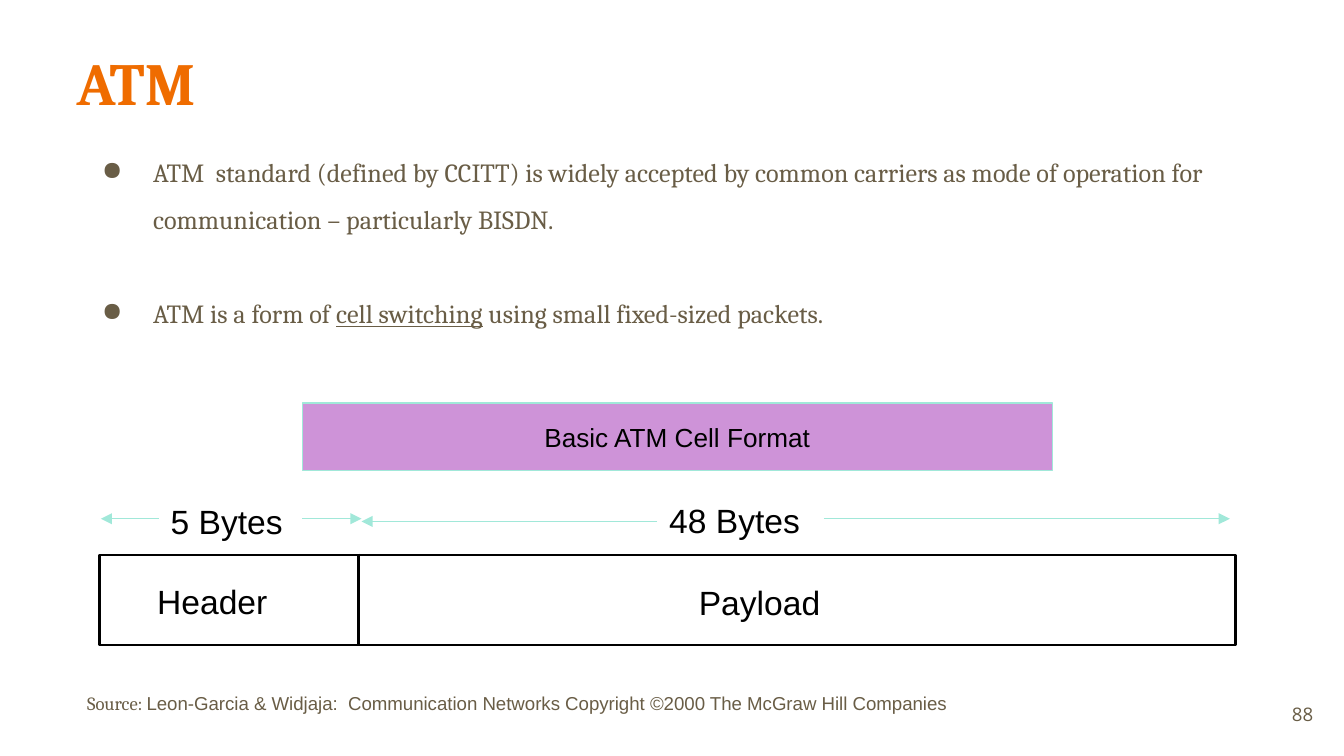
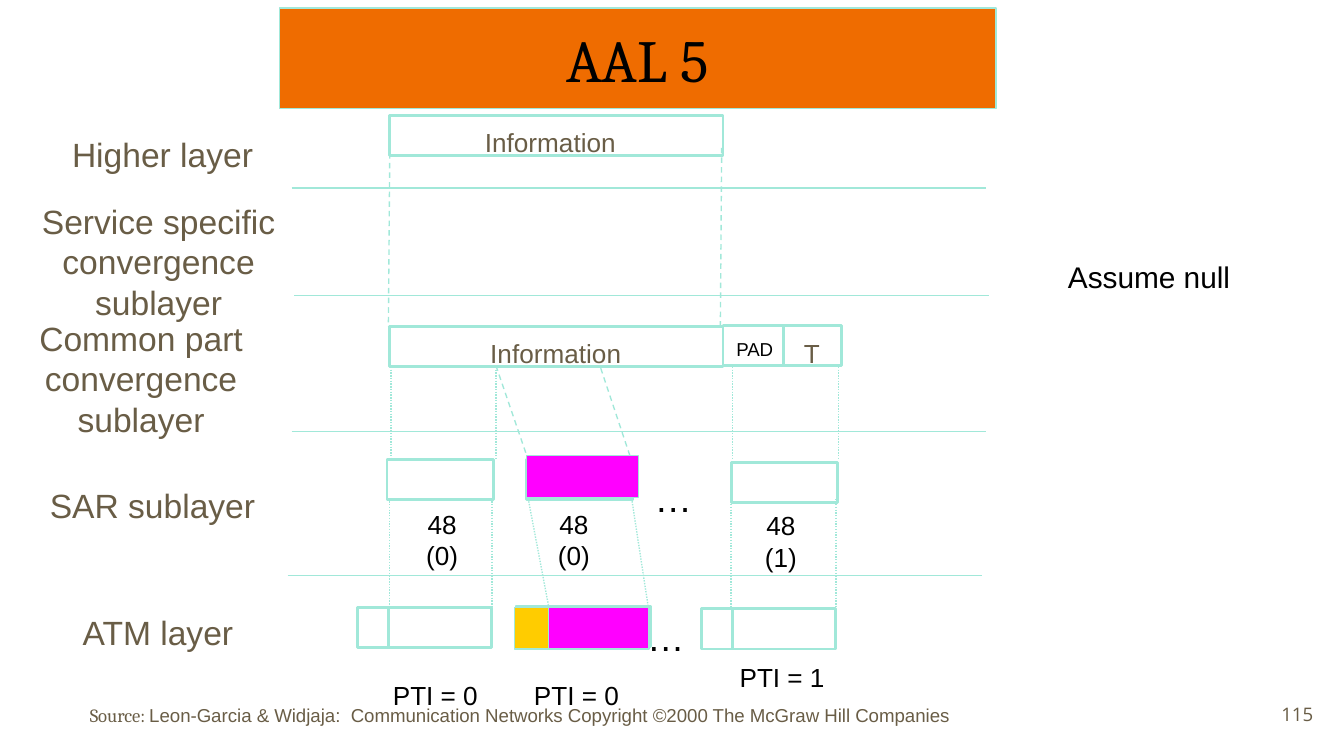
from lxml import etree
from pptx import Presentation
from pptx.dml.color import RGBColor
from pptx.enum.dml import MSO_LINE
from pptx.enum.shapes import MSO_CONNECTOR, MSO_SHAPE
from pptx.enum.text import MSO_ANCHOR, MSO_AUTO_SIZE, PP_ALIGN
from pptx.oxml.ns import qn
from pptx.util import Inches, Pt

ORANGE = RGBColor(0xEF, 0x6C, 0x00)
BROWN = RGBColor(0x69, 0x5D, 0x46)
MINT = RGBColor(0xA1, 0xE8, 0xD9)
LILAC = RGBColor(0xCE, 0x93, 0xD8)
MAGENTA = RGBColor(0xFF, 0x00, 0xFF)
YELLOW = RGBColor(0xFF, 0xCC, 0x00)
BLACK = RGBColor(0x00, 0x00, 0x00)

SERIF, SANS, NUMBER_FONT = "Cambria", "Arial", "Open Sans"
LEFT, CENTER, RIGHT = PP_ALIGN.LEFT, PP_ALIGN.CENTER, PP_ALIGN.RIGHT
TOP, MIDDLE = MSO_ANCHOR.TOP, MSO_ANCHOR.MIDDLE
DASH, DOT = MSO_LINE.DASH, MSO_LINE.ROUND_DOT
RECTANGLE, STRAIGHT = MSO_SHAPE.RECTANGLE, MSO_CONNECTOR.STRAIGHT
NO_AUTOFIT = MSO_AUTO_SIZE.NONE

SLIDE_WIDTH = Inches(10)
SLIDE_HEIGHT = SLIDE_WIDTH * 9 // 16
THIN, THICK = 0.75, 1.5
TITLE_SIZE = 32
SOURCE = "Leon-Garcia & Widjaja:  Communication Networks Copyright ©2000 The McGraw Hill Companies"


def set_font(font, size, color, name=SANS, bold=False):
    font.size = Pt(size)
    font.color.rgb = color
    font.name = name
    font.bold = bold


def set_frame(frame, anchor, inset_x=0.1, inset_y=0.05, wrap=True):
    frame.auto_size = NO_AUTOFIT
    frame.word_wrap = wrap
    frame.vertical_anchor = anchor
    frame.margin_left = frame.margin_right = Inches(inset_x)
    frame.margin_top = frame.margin_bottom = Inches(inset_y)


def write(frame, text, size, color, name=SANS, align=CENTER, bold=False):
    paragraph = frame.paragraphs[0]
    paragraph.text = text
    paragraph.alignment = align
    set_font(paragraph.font, size, color, name, bold)


def add_box(slide, box):
    return slide.shapes.add_textbox(*map(Inches, box))


def add_label(slide, box, text, size=18, color=BROWN, wrap=True):
    frame = add_box(slide, box).text_frame
    set_frame(frame, MIDDLE, wrap=wrap)
    write(frame, text, size, color)


def add_field_text(slide, left, top, text, width=1.14):
    frame = add_box(slide, (left, top, width, 0.3)).text_frame
    set_frame(frame, TOP, 0, 0)
    write(frame, text, 18, BLACK, align=LEFT)


def add_rectangle(slide, box, fill=None, line=MINT, weight=THICK):
    shape = slide.shapes.add_shape(RECTANGLE, *map(Inches, box))
    shape.shadow.inherit = False
    if fill is None:
        shape.fill.background()
    else:
        shape.fill.solid()
        shape.fill.fore_color.rgb = fill
    shape.line.color.rgb = line
    shape.line.width = Pt(weight)
    return shape


def add_line(slide, start, end, color=MINT, weight=THIN, dash=None, arrow=False):
    connector = slide.shapes.add_connector(STRAIGHT, *map(Inches, (*start, *end)))
    connector.line.color.rgb = color
    connector.line.width = Pt(weight)
    if dash is not None:
        connector.line.dash_style = dash
    if arrow:
        etree.SubElement(connector.line._get_or_add_ln(), qn("a:tailEnd"), type="triangle")
    etree.SubElement(connector._element.spPr, qn("a:effectLst"))


def add_title(slide, box, text, anchor, color, align, bold=False):
    title = slide.shapes.title
    title.left, title.top, title.width, title.height = map(Inches, box)
    set_frame(title.text_frame, anchor, 0.1, 0.1)
    write(title.text_frame, text, TITLE_SIZE, color, SERIF, align, bold)
    return title


def add_footer(slide, left, top, number):
    frame = add_box(slide, (9.27, 5.1, 0.6, 0.43)).text_frame
    set_frame(frame, MIDDLE, 0.1, 0.1)
    write(frame, number, 10, BROWN, NUMBER_FONT, RIGHT)
    frame = add_box(slide, (left, top, 8.87, 0.44)).text_frame
    set_frame(frame, TOP)
    for text, name in (("Source: ", SERIF), (SOURCE, SANS)):
        run = frame.paragraphs[0].add_run()
        run.text = text
        set_font(run.font, 10, BROWN, name)


def add_bullet(paragraph, parts):
    properties = paragraph._p.get_or_add_pPr()
    properties.set("marL", str(Inches(0.5)))
    properties.set("indent", str(-Inches(0.38)))
    paragraph.line_spacing = 1.5
    color = etree.SubElement(properties, qn("a:buClr"))
    etree.SubElement(color, qn("a:srgbClr"), val=str(BROWN))
    etree.SubElement(properties, qn("a:buChar"), char="●")
    for text, underline in parts:
        run = paragraph.add_run()
        run.text = text
        set_font(run.font, 14, BROWN, SERIF)
        run.font.underline = underline


def add_bullets(slide, box, bullets):
    frame = add_box(slide, box).text_frame
    set_frame(frame, TOP, 0.1, 0.1)
    for index, parts in enumerate(bullets):
        paragraph = frame.add_paragraph() if index else frame.paragraphs[0]
        if index:
            paragraph.space_before = Pt(25)
        add_bullet(paragraph, parts)


def add_atm_cell(slide, left, top):
    add_rectangle(slide, (left, top, 1, 0.3))
    add_line(slide, (left + 0.23, top), (left + 0.23, top + 0.3), weight=THICK)


def build_atm_slide(slide):
    add_title(slide, (0.47, 0.24, 9.32, 0.77), "ATM", TOP, ORANGE, LEFT, True)
    add_bullets(slide, (0.54, 0.95, 9.32, 3.61), [
        [("ATM  standard (defined by CCITT) is widely accepted by common carriers "
          "as mode of operation for communication – particularly BISDN.", False)],
        [("ATM is a form of ", False), ("cell switching", True),
         (" using small fixed-sized packets.", False)],
    ])

    add_rectangle(slide, (0.74, 4.13, 8.45, 0.67), line=BLACK)
    add_line(slide, (2.67, 4.12), (2.67, 4.81), BLACK, THICK)
    add_field_text(slide, 1.17, 4.32, "Header")
    add_field_text(slide, 5.2, 4.33, "Payload", 1.43)
    add_field_text(slide, 1.27, 3.73, "5 Bytes")
    add_field_text(slide, 4.98, 3.72, "48 Bytes")
    for start, end, y in ((2.25, 2.69, 3.86), (1.18, 0.75, 3.86),
                          (4.89, 2.69, 3.88), (6.13, 9.15, 3.86)):
        add_line(slide, (start, y), (end, y), arrow=True)

    caption = add_rectangle(slide, (2.25, 3, 5.58, 0.5), LILAC, weight=THIN)
    set_frame(caption.text_frame, MIDDLE, wrap=False)
    write(caption.text_frame, "Basic ATM Cell Format", 14, BLACK)
    add_footer(slide, 0.55, 5.1, "88")


def build_aal5_slide(slide):
    title = add_title(slide, (2.08, 0.06, 5.33, 0.75), "AAL 5", MIDDLE, BLACK, CENTER)
    title.fill.solid()
    title.fill.fore_color.rgb = ORANGE
    title.line.color.rgb = MINT
    title.line.width = Pt(THIN)

    for box, layer in (
        ((0.43, 0.95, 1.56, 0.4), "Higher layer"),
        ((0.19, 1.44, 1.98, 1.01), "Service specific convergence sublayer"),
        ((0.1, 2.31, 1.9, 1.01), "Common part convergence sublayer"),
        ((0.06, 3.56, 2.15, 0.4), "SAR sublayer"),
        ((0.1, 4.5, 2.15, 0.4), "ATM layer"),
    ):
        add_label(slide, box, layer, wrap=layer != "Higher layer")
    add_label(slide, (7.37, 1.87, 2.36, 0.37), "Assume null", 16, BLACK)

    for left, y in ((2.17, 1.4), (2.19, 2.2), (2.17, 3.21), (2.14, 4.28)):
        add_line(slide, (left, y), (left + 5.17, y))

    for box in ((2.9, 0.86, 2.48, 0.3), (5.38, 2.42, 0.88, 0.3), (2.9, 2.43, 2.48, 0.3)):
        add_rectangle(slide, box)
    add_line(slide, (5.83, 2.42), (5.83, 2.72), weight=THICK)
    for left, top in ((2.99, 0.89), (3.03, 2.46)):
        add_label(slide, (left, top, 2.21, 0.34), "Information", 14)
    add_label(slide, (5.37, 2.46, 0.49, 0.27), "PAD", 10, BLACK, False)
    add_label(slide, (5.88, 2.46, 0.32, 0.34), "T", 14, wrap=False)

    for start, end in (
        ((2.9, 1.14), (2.89, 2.43)), ((5.37, 1.1), (5.36, 2.42)),
        ((3.69, 2.72), (3.94, 3.45)), ((4.47, 2.74), (4.7, 3.43)),
    ):
        add_line(slide, start, end, dash=DASH)
    for x in (2.91, 3.69, 5.45, 6.24):
        add_line(slide, (x, 2.73), (x, 3.41), dash=DOT)
    for x in (2.9, 3.66, 5.44, 6.22):
        add_line(slide, (x, 3.71), (x, 4.54), dash=DOT)
    add_line(slide, (3.93, 3.71), (4.08, 4.5), dash=DOT)
    add_line(slide, (4.7, 3.71), (4.83, 4.56), dash=DOT)

    for left, top in ((2.88, 3.42), (3.92, 3.42), (5.44, 3.44)):
        add_rectangle(slide, (left, top, 0.79, 0.3))
    for left, top, size in ((3.05, 3.73, "48 (0)"), (4.03, 3.73, "48 (0)"), (5.57, 3.74, "48 (1)")):
        add_label(slide, (left, top, 0.48, 0.57), size, 14, BLACK)
    for left, top, width in ((4.77, 3.48, 0.48), (4.69, 4.52, 0.53)):
        add_label(slide, (left, top, width, 0.44), "…", 20, BLACK)

    for left, top in ((2.66, 4.52), (3.84, 4.51), (5.22, 4.53)):
        add_atm_cell(slide, left, top)
    for left, top, bit in ((2.82, 5, 0), (3.87, 5, 0), (5.4, 4.87, 1)):
        add_label(slide, (left, top, 0.84, 0.34), f"PTI = {bit}", 14, BLACK, False)
    for left, top, width, fill in ((3.92, 3.39, 0.83, MAGENTA), (4.08, 4.52, 0.75, MAGENTA),
                                   (3.83, 4.52, 0.25, YELLOW)):
        add_rectangle(slide, (left, top, width, 0.31), fill, weight=THIN)
    add_footer(slide, 0.57, 5.19, "115")


def main():
    presentation = Presentation()
    presentation.slide_width = SLIDE_WIDTH
    presentation.slide_height = SLIDE_HEIGHT
    title_only = presentation.slide_layouts[5]
    for build in (build_atm_slide, build_aal5_slide):
        build(presentation.slides.add_slide(title_only))
    presentation.save("out.pptx")


if __name__ == "__main__":
    main()
